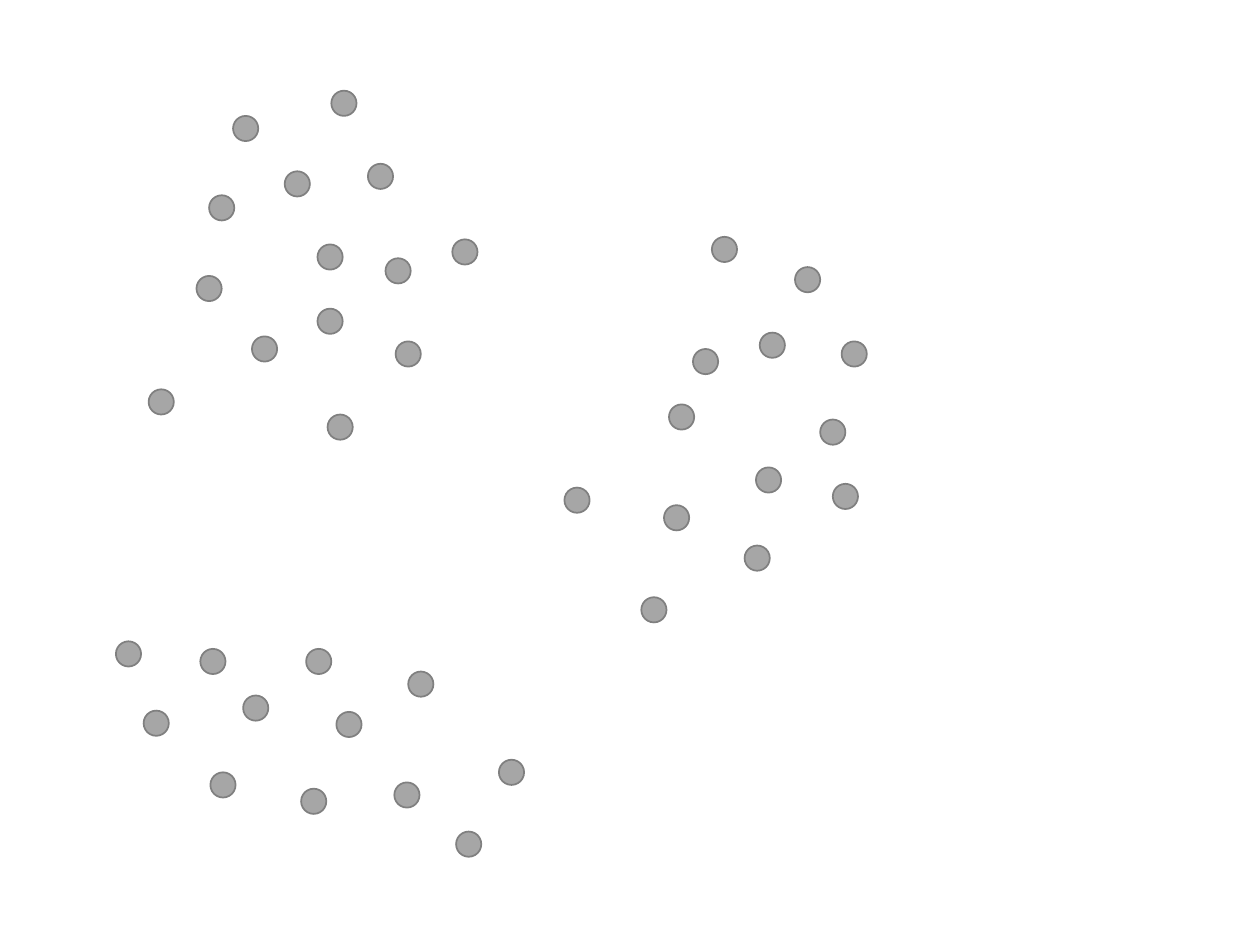
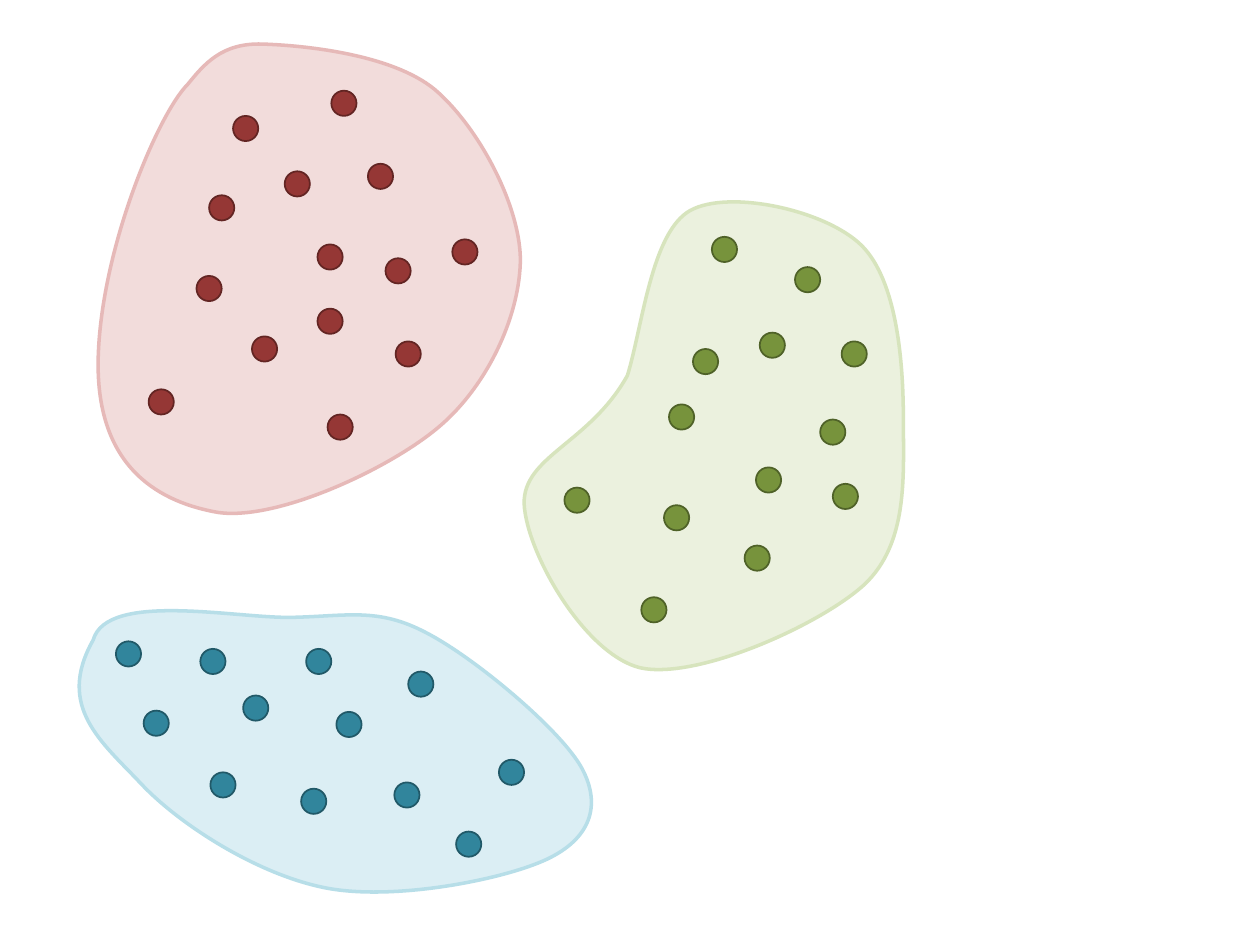
from lxml import etree
from pptx import Presentation
from pptx.dml.color import RGBColor
from pptx.enum.shapes import MSO_SHAPE
from pptx.oxml.ns import qn
from pptx.util import Cm, Pt

OVAL = MSO_SHAPE.OVAL
INCH = 2.54
DOT = Cm(0.2 * INCH)
GREY = ("A6A6A6", "808080")

dots = {
    "red": [
        (1.66, 1.55), (2.26, 1.36), (1.56, 2.19), (2.52, 1.94), (1.85, 0.92),
        (2.0, 2.67), (2.92, 1.3), (2.52, 2.45), (3.06, 2.05), (3.14, 2.71),
        (2.6, 3.29), (3.59, 1.9), (1.18, 3.09), (2.63, 0.72),
    ],
    "green": [
        (5.65, 1.88), (5.5, 2.77), (6.31, 2.12), (6.03, 2.64), (5.31, 3.21),
        (6.51, 3.33), (6.68, 2.71), (5.27, 4.01), (5.09, 4.74), (4.48, 3.87),
        (6.0, 3.71), (5.91, 4.33), (6.61, 3.84),
    ],
    "blue": [
        (0.92, 5.09), (1.59, 5.15), (3.24, 5.33), (2.43, 5.15), (1.14, 5.64),
        (1.93, 5.52), (2.67, 5.65), (1.67, 6.13), (3.96, 6.03), (2.39, 6.26),
        (3.13, 6.21), (3.62, 6.6),
    ],
}
dot_colors = {
    "red": ("953735", "632523"),
    "green": ("77933C", "4F6228"),
    "blue": ("31859C", "215968"),
}
area_colors = {
    "red": ("F2DCDB", "E6B9B8"),
    "green": ("EBF1DE", "D7E4BD"),
    "blue": ("DBEEF4", "B7DEE8"),
}
boxes = {
    "red": (0.78, 0.35, 3.35, 3.73),
    "green": (4.16, 1.6, 3.01, 3.71),
    "blue": (0.63, 4.84, 4.06, 2.24),
}
curves = {
    "red": [
        [(1.26, 0.9), (0.81, 1.95), (0.78, 2.82)],
        [(0.75, 3.69), (1.24, 3.97), (1.69, 4.06)],
        [(2.14, 4.16), (3.06, 3.74), (3.47, 3.4)],
        [(3.87, 3.07), (4.13, 2.5), (4.13, 2.05)],
        [(4.12, 1.61), (3.79, 1.0), (3.45, 0.71)],
        [(3.11, 0.43), (2.41, 0.36), (2.08, 0.35)],
        [(1.76, 0.34), (1.62, 0.51), (1.49, 0.67)],
    ],
    "green": [
        [(4.68, 3.52), (4.15, 3.62), (4.16, 4.0)],
        [(4.18, 4.39), (4.64, 5.19), (5.08, 5.3)],
        [(5.53, 5.4), (6.51, 4.96), (6.86, 4.64)],
        [(7.21, 4.31), (7.17, 3.78), (7.17, 3.33)],
        [(7.17, 2.88), (7.12, 2.23), (6.84, 1.95)],
        [(6.56, 1.67), (5.79, 1.5), (5.48, 1.67)],
        [(5.17, 1.84), (5.1, 2.59), (4.98, 2.98)],
    ],
    "blue": [
        [(0.44, 5.61), (0.81, 5.89), (1.12, 6.22)],
        [(1.43, 6.55), (2.06, 6.95), (2.6, 7.05)],
        [(3.14, 7.15), (4.0, 6.98), (4.34, 6.82)],
        [(4.68, 6.66), (4.78, 6.4), (4.62, 6.1)],
        [(4.46, 5.8), (3.77, 5.22), (3.38, 5.02)],
        [(3.0, 4.82), (2.76, 4.89), (2.32, 4.9)],
        [(1.88, 4.91), (0.85, 4.69), (0.74, 5.08)],
    ],
}
plain_layers = [("dots", "red"), ("dots", "green"), ("dots", "blue")]
grouped_layers = [
    ("area", "green"), ("area", "red"), ("dots", "red"),
    ("area", "blue"), ("dots", "green"), ("dots", "blue"),
]


def paint(sp, fill, line, width):
    sp.shadow.inherit = False
    sp.fill.solid()
    sp.fill.fore_color.rgb = RGBColor.from_string(fill)
    sp.line.color.rgb = RGBColor.from_string(line)
    sp.line.width = Pt(width)


def add_area(s, box, segments):
    left, top, width, height = [Cm(v * INCH) for v in box]
    right, bottom = left + width, top + height
    builder = s.shapes.build_freeform(left, top)
    builder.add_line_segments([(right, top), (right, bottom), (left, bottom)])
    sp = builder.convert_to_shape()
    outline = sp._element.find(".//" + qn("a:path"))
    for child in list(outline):
        outline.remove(child)
    steps = [("a:moveTo", segments[-1][-1:])]
    steps += [("a:cubicBezTo", points) for points in segments]
    for tag, points in steps:
        step = etree.SubElement(outline, qn(tag))
        for x, y in points:
            etree.SubElement(step, qn("a:pt"), x=str(Cm(x * INCH) - left), y=str(Cm(y * INCH) - top))
    etree.SubElement(outline, qn("a:close"))
    return sp


prs = Presentation()
prs.slide_width = Cm(10 * INCH)
prs.slide_height = Cm(7.5 * INCH)

for layers in (plain_layers, grouped_layers):
    s = prs.slides.add_slide(prs.slide_layouts[6])
    for kind, name in layers:
        if kind == "area":
            sp = add_area(s, boxes[name], curves[name])
            paint(sp, *area_colors[name], 2)
            continue
        colors = GREY if layers is plain_layers else dot_colors[name]
        for x, y in dots[name]:
            sp = s.shapes.add_shape(OVAL, Cm(x * INCH), Cm(y * INCH), DOT, DOT)
            paint(sp, *colors, 1)

prs.save("out.pptx")
